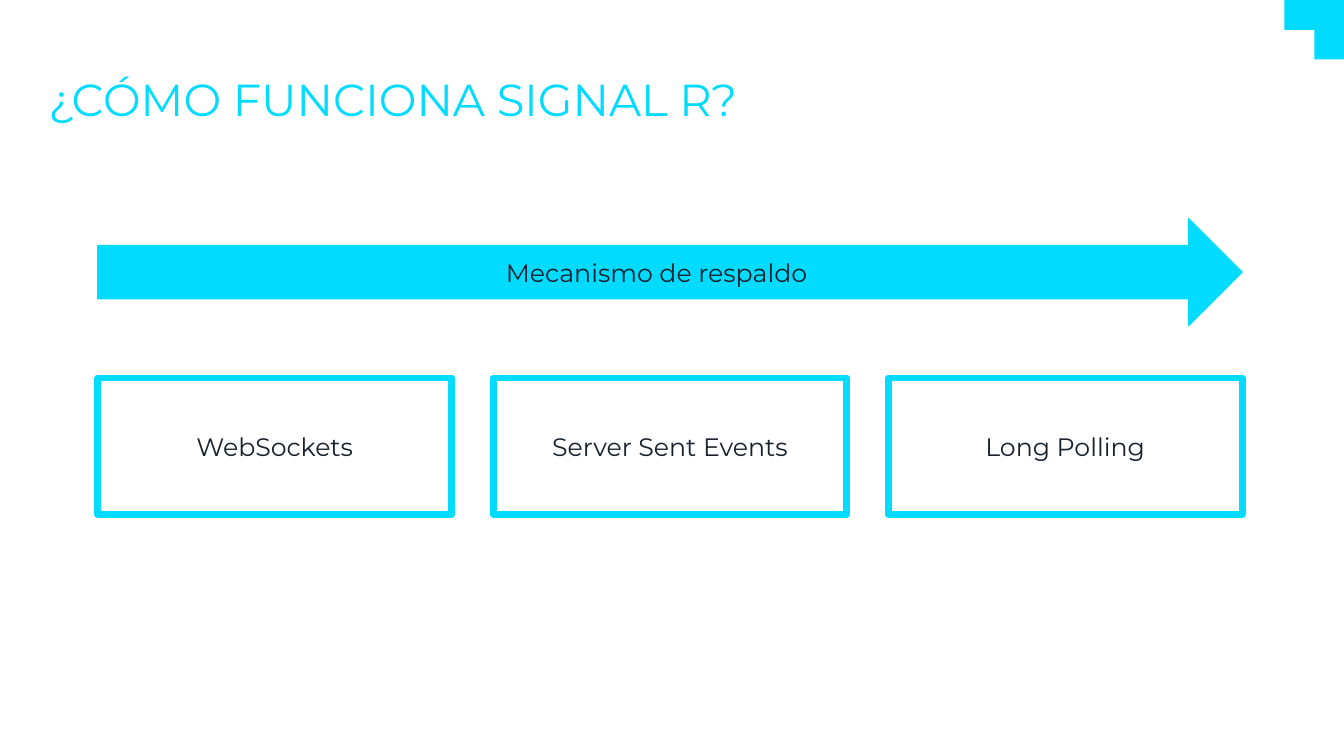
from dataclasses import dataclass
from pptx import Presentation
from pptx.dml.color import RGBColor as Rgb
from pptx.enum.shapes import MSO_SHAPE as Kind
from pptx.enum.text import MSO_ANCHOR as Anchor, MSO_AUTO_SIZE as Fit, PP_ALIGN as Align
from pptx.util import Inches, Pt


@dataclass(frozen=True)
class Theme:
    """Colours, font and type sizes."""
    font: str = "Montserrat"
    cyan: str = "00DBFF"
    edge: str = "01DBFF"
    ink: str = "17212D"
    head: int = 32
    body: int = 18


@dataclass(frozen=True)
class Grid:
    """Equal columns between two margins, in inches."""
    left: float = 0.97
    width: float = 11.35
    gap: float = 0.41
    count: int = 3

    def span(self):
        """Return the width of one column."""
        return (self.width - self.gap * (self.count - 1)) / self.count

    def col(self, index):
        """Return the left edge of a column."""
        return self.left + index * (self.span() + self.gap)


def write(shape, text, font, size, color, align=Align.CENTER, space=None, after=0):
    """Put one formatted paragraph in a shape."""
    frame = shape.text_frame
    frame.word_wrap = True
    frame.auto_size = Fit.NONE
    frame.vertical_anchor = Anchor.MIDDLE
    para = frame.paragraphs[0]
    para.alignment = align
    para.line_spacing = space
    para.space_before, para.space_after = Pt(0), Pt(after)
    run = para.add_run()
    run.text = text
    run.font.name, run.font.size = font, Pt(size)
    run.font.color.rgb = Rgb.from_string(color)


class Deck:
    """Holds the style and the current slide."""

    def __init__(self, theme, grid):
        """Start a wide deck with one title slide."""
        self.theme, self.grid = theme, grid
        self.show = Presentation()
        self.show.slide_width, self.show.slide_height = Inches(13.33), Inches(7.5)
        self.slide = self.show.slides.add_slide(self.show.slide_layouts[5])

    def shape(self, kind, box, fill=None, line=None, weight=1):
        """Add a flat preset shape."""
        item = self.slide.shapes.add_shape(kind, *map(Inches, box))
        item.shadow.inherit = False
        for part, color in ((item.fill, fill), (item.line.fill, line)):
            if color:
                part.solid()
                part.fore_color.rgb = Rgb.from_string(color)
            else:
                part.background()
        if line:
            item.line.width = Pt(weight)
        return item

    def label(self, shape, text):
        """Centre body text in a shape."""
        write(shape, text, self.theme.font, self.theme.body, self.theme.ink)

    def corner(self, size):
        """Mark the top right corner of the slide."""
        item = self.shape(Kind.CORNER, (13.33 - size, 0, size, size), fill=self.theme.cyan)
        item.rotation = 180

    def title(self, text, box):
        """Place and fill the title."""
        item = self.slide.shapes.title
        item.left, item.top, item.width, item.height = map(Inches, box)
        write(item, text, self.theme.font, self.theme.head, self.theme.cyan,
              align=Align.LEFT, space=0.9, after=6)

    def boxes(self, names, top, height):
        """Draw one outlined box per column."""
        for index, name in enumerate(names):
            box = self.grid.col(index), top, self.grid.span(), height
            self.label(self.shape(Kind.RECTANGLE, box, line=self.theme.edge, weight=5), name)

    def arrow(self, text, top, height):
        """Draw a labelled arrow across all columns."""
        box = self.grid.left, top, self.grid.width, height
        edge = self.theme.edge
        self.label(self.shape(Kind.RIGHT_ARROW, box, fill=edge, line=edge, weight=0.85), text)


deck = Deck(Theme(), Grid())
deck.corner(0.59)
deck.title("¿CÓMO FUNCIONA SIGNAL R?", (0.38, 0.61, 9.45, 0.8))
deck.boxes(("WebSockets", "Server Sent Events", "Long Polling"), top=3.75, height=1.35)
deck.arrow("Mecanismo de respaldo", top=2.17, height=1.06)
deck.show.save("out.pptx")
